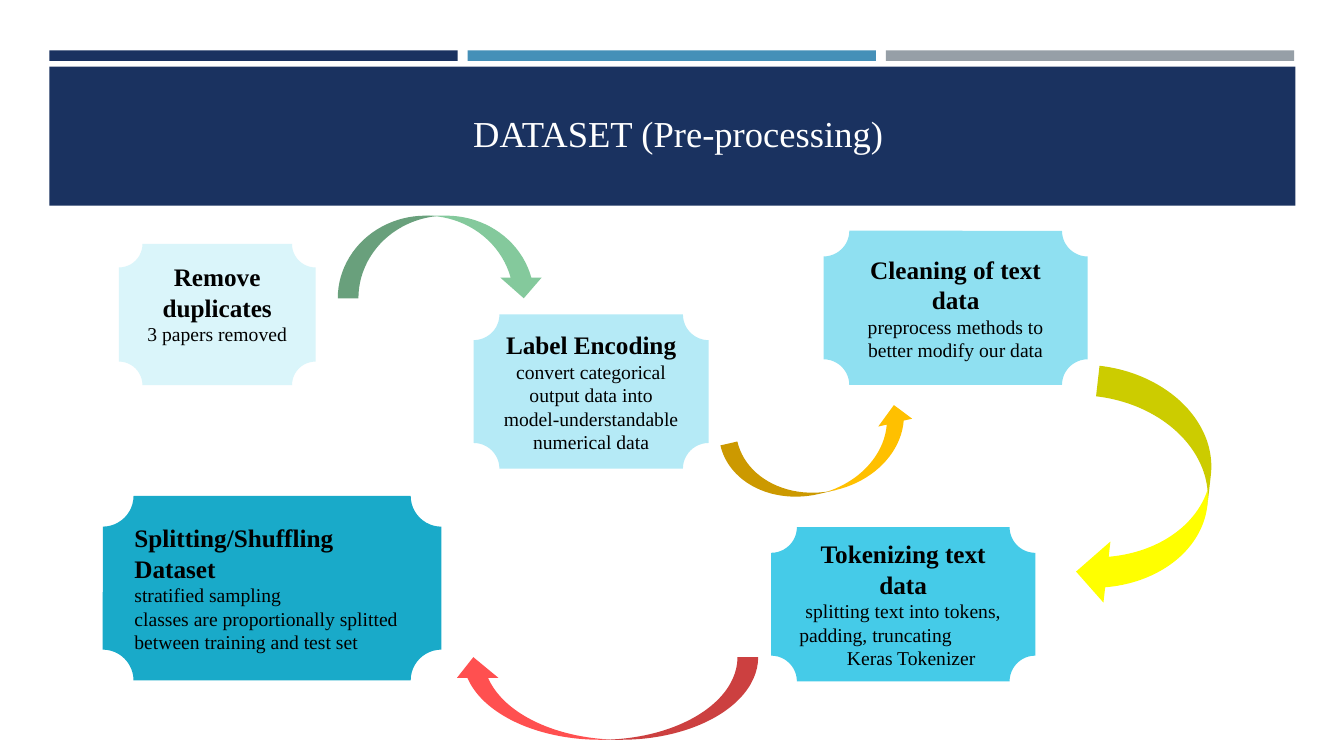
"""Builds the pre-processing slide of the dataset section."""
from pptx import Presentation
from pptx import util as u
from pptx.dml.color import RGBColor
from pptx.enum import shapes, text

WIDE, HIGH = u.Inches(13.33), u.Inches(7.5)
FONT = "Times New Roman"
KIND = shapes.MSO_SHAPE
ALIGN = text.PP_ALIGN
ANCHOR = text.MSO_ANCHOR
HUES = {
    "navy": "1A3260", "blue": "4590B8", "grey": "969FA7",
    "white": "FFFFFF", "black": "000000",
    "aqua1": "DAF5FA", "aqua2": "B5EAF6", "aqua3": "8FE0F1",
    "aqua4": "45CBE8", "aqua5": "19AAC9",
    "green": "84C99C", "amber": "FFC000", "yellow": "FFFF00", "red": "FF5050",
}


def hue(name):
    """Return the named colour."""
    return RGBColor.from_string(HUES[name])


def area(left, top, wide, high):
    """Turn percentages of the slide into lengths."""
    return (int(WIDE * left / 100), int(HIGH * top / 100),
            int(WIDE * wide / 100), int(HIGH * high / 100))


def block(slide, kind, spot, fill, turn=0):
    """Add a filled shape without line or shadow."""
    shape = slide.shapes.add_shape(kind, *area(*spot))
    shape.shadow.inherit = False
    shape.fill.solid()
    shape.fill.fore_color.rgb = hue(fill)
    shape.line.fill.background()
    shape.rotation = turn
    return shape


def write(frame, words, size=14, bold=False, color="black",
          align=ALIGN.CENTER, indent=0):
    """Write one paragraph, filling the first one while it is empty."""
    para = frame.paragraphs[0]
    if para.runs:
        para = frame.add_paragraph()
    para.alignment = align
    if indent:
        para._p.get_or_add_pPr().set("marL", str(u.Inches(indent)))
    run = para.add_run()
    run.text = words
    run.font.name, run.font.size, run.font.bold = FONT, u.Pt(size), bold
    run.font.color.rgb = hue(color)


def step(slide, spot, fill, head, lines, align=ALIGN.CENTER):
    """Add a plaque with a bold heading and its lines."""
    frame = block(slide, KIND.PLAQUE, spot, fill).text_frame
    frame.word_wrap = True
    frame.vertical_anchor = ANCHOR.MIDDLE
    write(frame, head, size=18, bold=True, align=align)
    for words, style in lines:
        write(frame, words, **{"align": align, **style})
    return frame


def header(slide):
    """Add the three bars, the band and the title."""
    for col, fill in enumerate(("navy", "blue", "grey")):
        block(slide, KIND.RECTANGLE, (3.68 + 31.12 * col, 6.67, 30.38, 1.4), fill)
    block(slide, KIND.RECTANGLE, (3.68, 8.8, 92.7, 18.4), "navy")
    frame = slide.shapes.add_textbox(*area(5.25, 10, 90.45, 11.07)).text_frame
    frame.word_wrap = True
    frame.vertical_anchor = ANCHOR.BOTTOM
    write(frame, "DATASET (Pre-processing)", size=26.1, color="white")


def steps(slide):
    """Add the five steps."""
    first = step(slide, (8.85, 32.27, 14.63, 18.67), "aqua1", "Remove duplicates",
                 [("3 papers removed", {})])
    first.vertical_anchor = ANCHOR.TOP
    first.margin_top = u.Inches(0.01)
    step(slide, (35.25, 41.6, 17.48, 20.4), "aqua2", "Label Encoding",
         [("convert categorical output data into model-understandable "
           "numerical data", {})])
    step(slide, (57.38, 69.73, 19.65, 20.4), "aqua4", "Tokenizing text data",
         [("splitting text into tokens,", {}),
          ("padding, truncating", {"align": ALIGN.LEFT}),
          ("Keras Tokenizer", {"indent": 0.16})])
    step(slide, (61.28, 30.53, 19.65, 20.4), "aqua3", "Cleaning of text data",
         [("preprocess methods to better modify our data", {})])
    step(slide, (7.65, 65.6, 25.2, 24.4), "aqua5", "Splitting/Shuffling Dataset",
         [("stratified sampling", {}),
          ("classes are proportionally splitted between training and test set", {})],
         align=ALIGN.LEFT)


def arrows(slide):
    """Add the curved arrows between the steps."""
    block(slide, KIND.CURVED_DOWN_ARROW, (25.13, 28.53, 15.38, 10.93), "green")
    block(slide, KIND.CURVED_UP_ARROW, (54, 55.87, 14.55, 9.2), "amber", turn=346.9)
    block(slide, KIND.CURVED_LEFT_ARROW, (80.78, 49.2, 9.15, 31.47), "yellow", turn=6.5)
    back = block(slide, KIND.CURVED_UP_ARROW, (33.68, 86.93, 22.73, 10.93), "red", turn=180)
    back._element.spPr.xfrm.set("flipV", "1")


def main():
    """Build and save the slide."""
    deck = Presentation()
    deck.slide_width, deck.slide_height = WIDE, HIGH
    slide = deck.slides.add_slide(deck.slide_layouts[6])
    header(slide)
    steps(slide)
    arrows(slide)
    deck.save("out.pptx")


if __name__ == "__main__":
    main()
